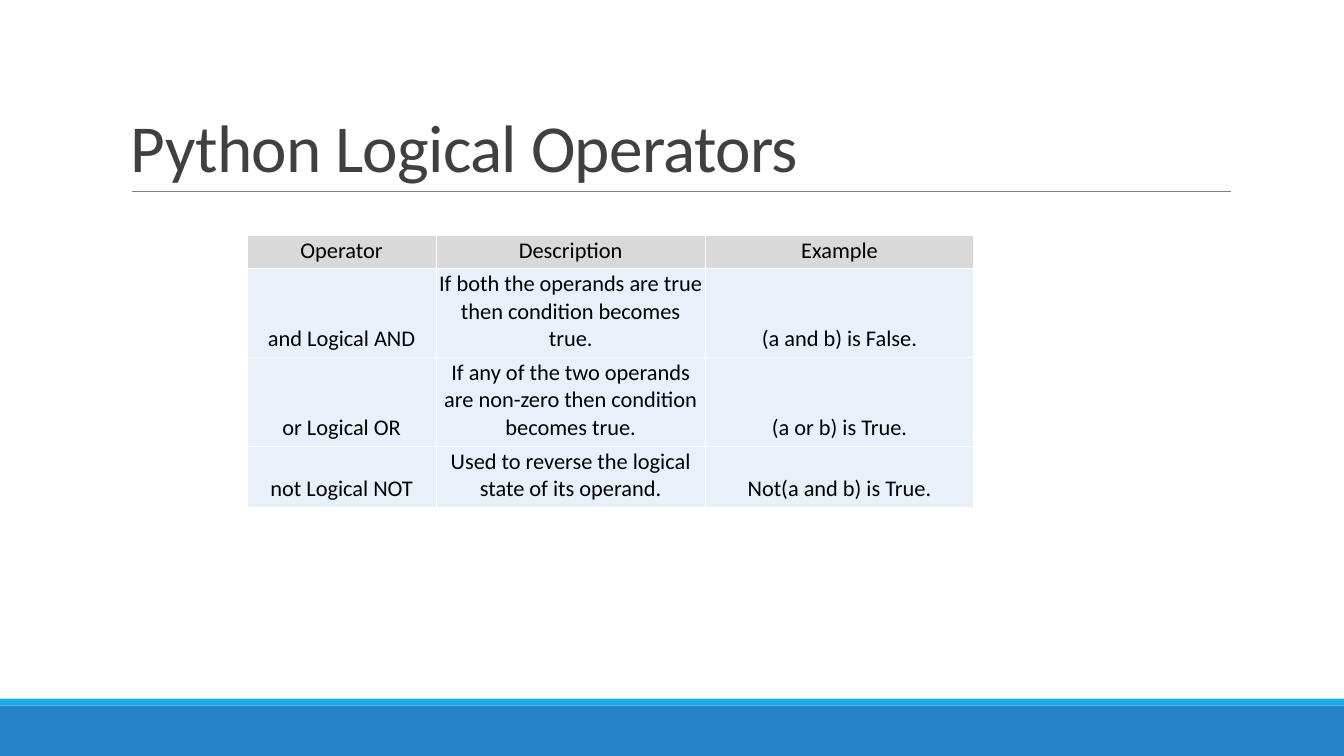
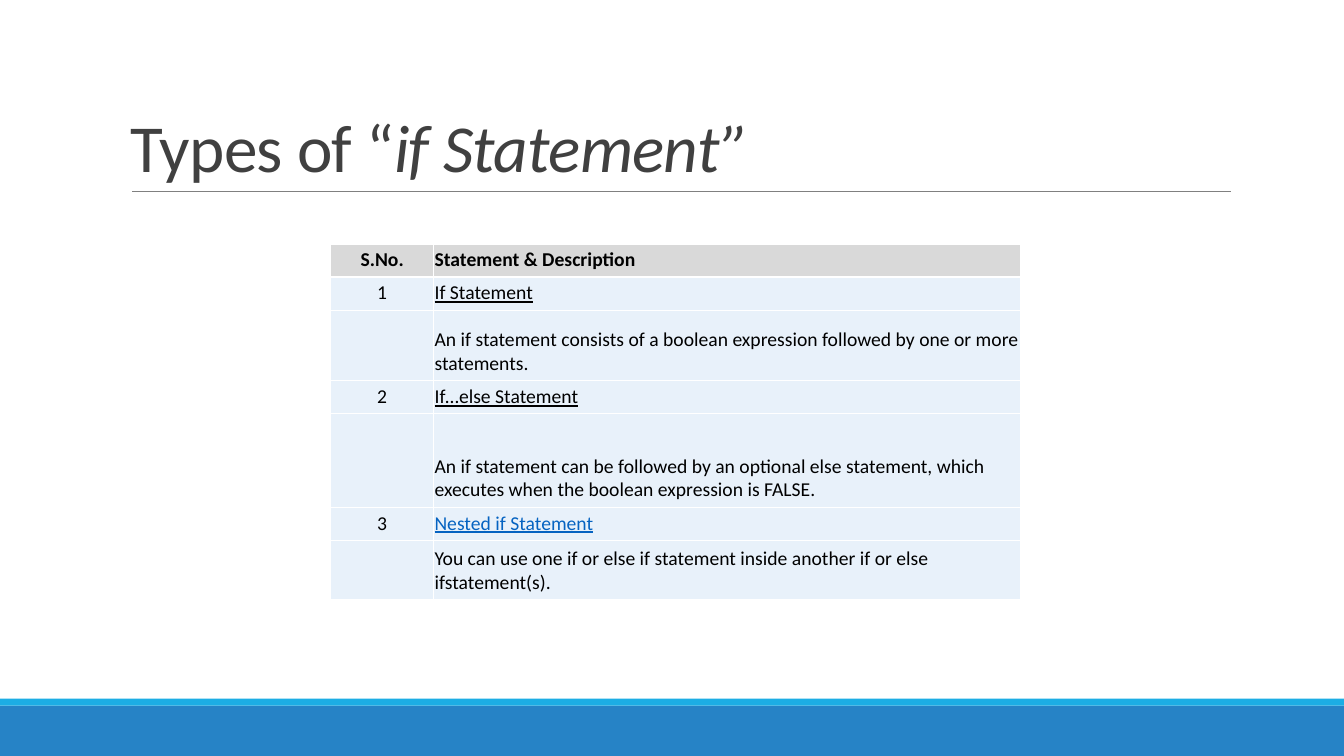
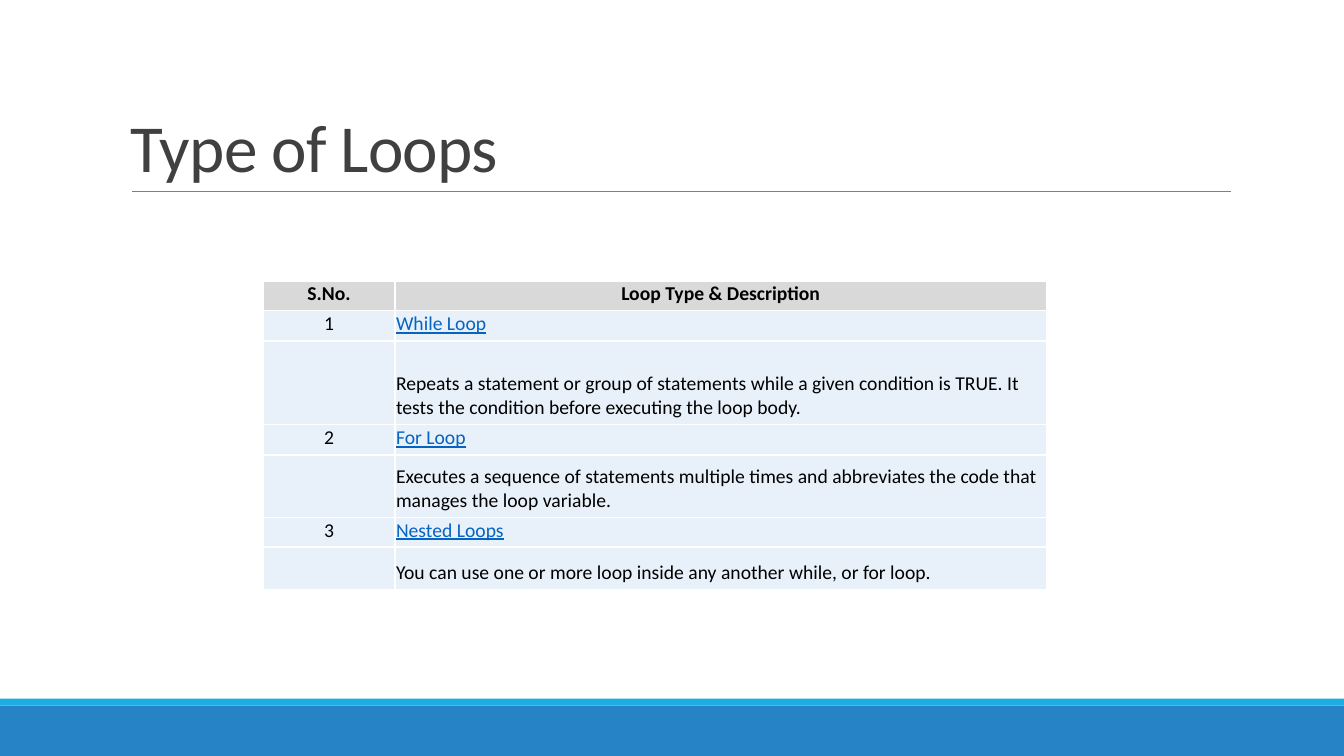
import pptx
import pptx.util
import pptx.oxml
import pptx.oxml.ns
import pptx.dml.color
import pptx.enum.text
import pptx.enum.shapes
import lxml.etree
import collections

COLOURS = {
    "band": "2683C6", "accent": "1CADE4", "rule": "808080", "title": "404040",
    "text": "000000", "link": "0563C1", "header": "D9D9D9", "body": "E8F1FA",
    "border": "FFFFFF",
}
FONT = "Calibri"
CENTER = pptx.enum.text.PP_ALIGN.CENTER
LEFT = pptx.enum.text.PP_ALIGN.LEFT
BOTTOM = pptx.enum.text.MSO_ANCHOR.BOTTOM
CELL_FORMAT = {
    "margin_left": pptx.util.Inches(0.01), "margin_right": pptx.util.Inches(0.01),
    "margin_top": pptx.util.Inches(0.01), "margin_bottom": pptx.util.Inches(0.05),
    "vertical_anchor": BOTTOM,
}

deck = pptx.Presentation()
deck.slide_width = pptx.util.Inches(13.33)
deck.slide_height = pptx.util.Inches(7.5)

# Boxes are given in percent of the slide's width and height
Box = collections.namedtuple("Box", "left top width height")
TITLE_BOX = Box(9, 4.13, 82.5, 21.2)
RULE_BOX = Box(9.83, 25.33, 81.77, 0)
BAND_BOX = Box(0, 93.33, 100, 6.67)
ACCENT_BOX = Box(0, 92.4, 100, 0.93)


def place(box):
    """Turn shares of the slide into lengths."""
    across, down = deck.slide_width / 100, deck.slide_height / 100
    return Box(int(box.left * across), int(box.top * down),
               int(box.width * across), int(box.height * down))


def colour(name):
    return pptx.dml.color.RGBColor.from_string(COLOURS[name])


def set_all(target, values):
    for name, value in values.items():
        setattr(target, name, value)


def add_span(para, text, size, tint="text", **formats):
    span = para.add_run()
    span.text = text
    set_all(span.font, {"name": FONT, "size": pptx.util.Pt(size), **formats})
    span.font.color.rgb = colour(tint)
    return span


# Bands at the foot and the rule under the title
def add_frame(page):
    for box, tint in ((BAND_BOX, "band"), (ACCENT_BOX, "accent")):
        band = page.shapes.add_shape(
            pptx.enum.shapes.MSO_SHAPE.RECTANGLE, *place(box))
        band.shadow.inherit = False
        band.fill.solid()
        band.fill.fore_color.rgb = colour(tint)
        band.line.fill.background()
    left, top, width, height = place(RULE_BOX)
    rule = page.shapes.add_connector(
        pptx.enum.shapes.MSO_CONNECTOR.STRAIGHT, left, top, left + width, top + height)
    rule.line.color.rgb = colour("rule")
    rule.line.width = pptx.util.Pt(0.5)
    lxml.etree.SubElement(rule._element.spPr, pptx.oxml.ns.qn("a:effectLst"))


# Title, with an optional part in italics
def add_title(page, box, text, italic_text=""):
    frame = page.shapes.add_textbox(*place(box)).text_frame
    set_all(frame, {"word_wrap": True, "vertical_anchor": BOTTOM})
    para = frame.paragraphs[0]
    para.line_spacing = 0.85
    for part, italic in ((text, False), (italic_text, True)):
        if part:
            span = add_span(para, part, 48, "title", italic=italic)
            span.font._element.set("spc", "-50")


def add_borders(cell):
    properties = cell._tc.get_or_add_tcPr()
    for side in ("lnL", "lnR", "lnT", "lnB"):
        properties.append(pptx.oxml.parse_xml(
            f'<a:{side} {pptx.oxml.ns.nsdecls("a")} w="12700"><a:solidFill>'
            f'<a:srgbClr val="{COLOURS["border"]}"/></a:solidFill></a:{side}>'))


# Table whose column and row sizes are shares of its box
def add_grid(page, box, columns, heights, rows, size):
    area = place(box)
    table = page.shapes.add_table(len(rows), len(columns), *area).table
    set_all(table, {"first_row": False, "horz_banding": False})
    for column, share in zip(table.columns, columns):
        column.width = int(area.width * share / sum(columns))
    for row, share in zip(table.rows, heights):
        row.height = int(area.height * share / sum(heights))
    for row_index, row in enumerate(rows):
        for column_index, (text, align, formats) in enumerate(row):
            cell = table.cell(row_index, column_index)
            add_borders(cell)
            cell.fill.solid()
            cell.fill.fore_color.rgb = colour("body" if row_index else "header")
            if text:
                set_all(cell, CELL_FORMAT)
                para = cell.text_frame.paragraphs[0]
                para.alignment = align
                add_span(para, text, size, **formats)


def start_page(*title):
    page = deck.slides.add_slide(deck.slide_layouts[6])
    add_frame(page)
    add_title(page, TITLE_BOX, *title)
    return page


# Slide type: every cell centred
def add_operator_page(title, box, columns, heights, texts):
    rows = [[(text, CENTER, {}) for text in row] for row in texts]
    add_grid(start_page(title), box, columns, heights, rows, 16)


# Slide type: numbered names, each with its description in the row below
def add_numbered_page(title, box, columns, heights, heading, heading_align, items):
    rows = [[("S.No.", CENTER, {"bold": True}), (heading, heading_align, {"bold": True})]]
    for number, (name, tint, description) in enumerate(items, 1):
        rows.append([(str(number), CENTER, {}),
                     (name, LEFT, {"tint": tint, "underline": True})])
        rows.append([("", LEFT, {}), (description, LEFT, {})])
    add_grid(start_page(*title), box, columns, heights, rows, 14)


add_operator_page(
    "Python Logical Operators", Box(18.38, 31.2, 54.09, 35.87),
    (1.88, 2.67, 2.67), (0.32, 0.88, 0.88, 0.61),
    [("Operator", "Description", "Example"),
     ("and Logical AND", "If both the operands are true then condition becomes true.",
      "(a and b) is False."),
     ("or Logical OR",
      "If any of the two operands are non-zero then condition becomes true.",
      "(a or b) is True."),
     ("not Logical NOT", "Used to reverse the logical state of its operand.",
      "Not(a and b) is True.")])

add_numbered_page(
    ("Types of “", "if Statement”"), Box(24.61, 32.27, 51.31, 47.07),
    (1.02, 5.82), (0.33, 0.33, 0.7, 0.33, 0.93, 0.33, 0.59),
    "Statement & Description", LEFT,
    [("If Statement", "text",
      "An\u00a0if statement\u00a0consists of a boolean expression followed by "
      "one or more statements."),
     ("If…else Statement", "text",
      "An\u00a0if statement\u00a0can be followed by an optional\u00a0else statement, "
      "which executes when the boolean expression is FALSE."),
     ("Nested if Statement", "link",
      "You can use one\u00a0if\u00a0or\u00a0else if\u00a0statement inside "
      "another\u00a0if\u00a0or\u00a0else ifstatement(s).")])

add_numbered_page(
    ("Type of Loops",), Box(19.58, 37.2, 58.29, 40.67),
    (1.31, 6.47), (0.29, 0.3, 0.83, 0.3, 0.62, 0.29, 0.42),
    "Loop Type & Description", CENTER,
    [("While Loop", "link",
      "Repeats a statement or group of statements while a given condition is TRUE. "
      "It tests the condition before executing the loop body."),
     ("For Loop", "link",
      "Executes a sequence of statements multiple times and abbreviates the code "
      "that manages the loop variable."),
     ("Nested Loops", "link",
      "You can use one or more loop inside any another while, or for loop.")])

deck.save("out.pptx")
